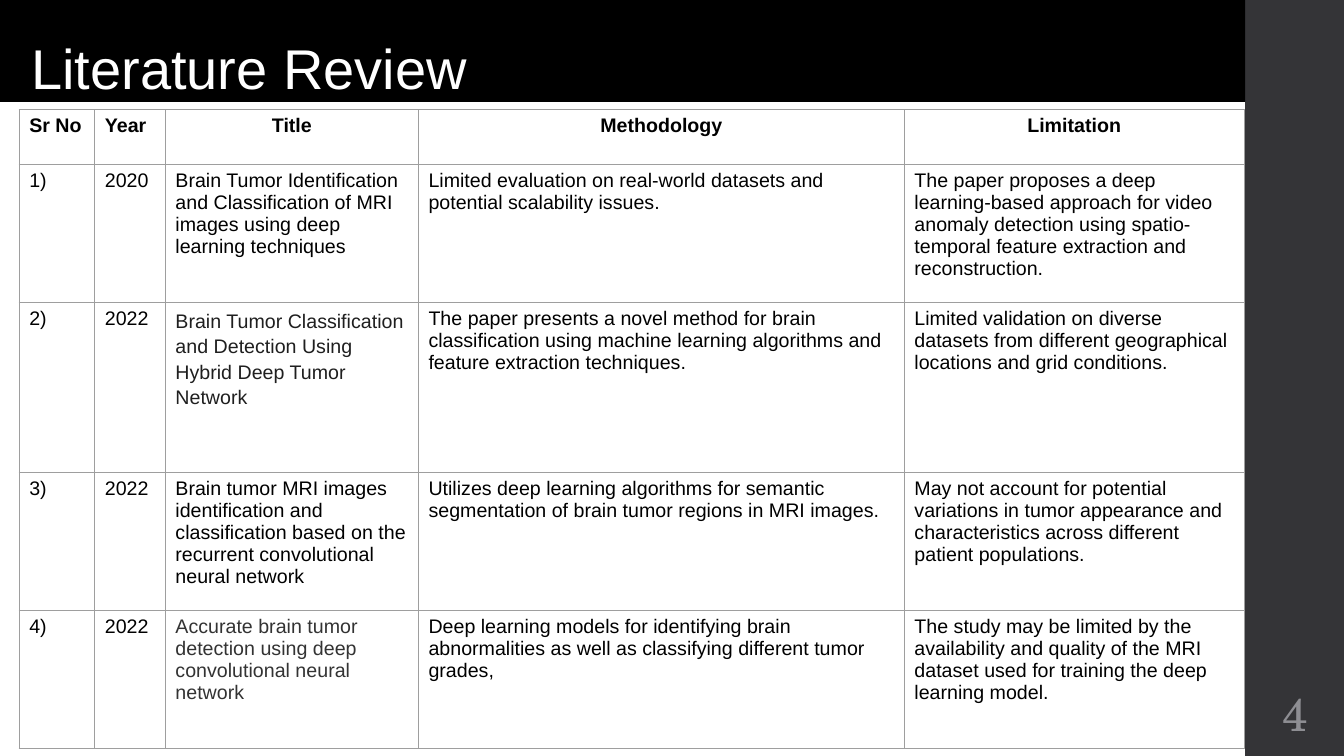
from lxml import etree
from pptx import Presentation
from pptx.dml.color import RGBColor
from pptx.enum.shapes import MSO_SHAPE as Preset
from pptx.enum.text import MSO_ANCHOR as Anchor, PP_ALIGN as Align
from pptx.oxml.ns import qn
from pptx.util import Inches, Pt

BLACK = RGBColor(0x00, 0x00, 0x00)
WHITE = RGBColor(0xFF, 0xFF, 0xFF)
SIDEBAR_GRAY = RGBColor(0x34, 0x34, 0x37)
NUMBER_GRAY = RGBColor(0x8E, 0x8E, 0x93)
BORDER_GRAY = RGBColor(0x9E, 0x9E, 0x9E)
CHARCOAL = RGBColor(0x1F, 0x1F, 0x1F)
DARK_GRAY = RGBColor(0x33, 0x33, 0x33)

SLIDE_WIDTH, SLIDE_HEIGHT = 13.33, 7.5
SIDEBAR_LEFT = 12.35
COLUMN_WIDTHS = [0.75, 0.7, 2.51, 4.82, 3.37]
ROW_HEIGHTS = [0.54, 1.37, 1.69, 1.37, 1.37]

HEADERS = ["Sr No", "Year", "Title", "Methodology", "Limitation"]
PAPERS = [
    ["1)", "2020",
     "Brain Tumor Identification and Classification of MRI images using deep learning techniques",
     "Limited evaluation on real-world datasets and potential scalability issues.",
     "The paper proposes a deep learning-based approach for video anomaly detection using "
     "spatio-temporal feature extraction and reconstruction."],
    ["2)", "2022",
     "Brain Tumor Classification and Detection Using Hybrid Deep Tumor Network",
     "The paper presents a novel method for brain classification using machine learning "
     "algorithms and feature extraction techniques.",
     "Limited validation on diverse datasets from different geographical locations and "
     "grid conditions."],
    ["3)", "2022",
     "Brain tumor MRI images identification and classification based on the recurrent "
     "convolutional neural network",
     "Utilizes deep learning algorithms for semantic segmentation of brain tumor regions "
     "in MRI images.",
     "May not account for potential variations in tumor appearance and characteristics "
     "across different patient populations."],
    ["4)", "2022",
     "Accurate brain tumor detection using deep convolutional neural network",
     "Deep learning models for identifying brain abnormalities as well as classifying "
     "different tumor grades,",
     "The study may be limited by the availability and quality of the MRI dataset used "
     "for training the deep learning model."],
]
TITLE_COLUMN = 2
TITLE_COLORS = {2: CHARCOAL, 4: DARK_GRAY}
LOOSE_ROW = 2


def set_all(target, values):
    for name, value in values.items():
        setattr(target, name, value)


def write(text_frame, text, color, paragraph_format=None, **font_format):
    paragraph = text_frame.paragraphs[0]
    set_all(paragraph, paragraph_format or {})
    run = paragraph.add_run()
    run.text = text
    set_all(run.font, font_format)
    run.font.color.rgb = color


def add_panel(slide, box, color):
    """Add a plain filled rectangle."""
    panel = slide.shapes.add_shape(Preset.RECTANGLE, *map(Inches, box))
    panel.shadow.inherit = False
    panel.fill.solid()
    panel.fill.fore_color.rgb = color
    panel.line.fill.background()
    return panel


def add_title_bar(slide, box):
    text_frame = add_panel(slide, box, BLACK).text_frame
    set_all(text_frame, {
        "word_wrap": True, "vertical_anchor": Anchor.BOTTOM, "margin_left": Inches(0.31),
        "margin_top": 0, "margin_right": 0, "margin_bottom": 0})
    write(text_frame, "Literature Review", WHITE,
          {"alignment": Align.LEFT, "line_spacing": 0.9}, size=Pt(40), name="Arial")


def add_sidebar(slide, box):
    """Add the side panel with the slide number near its foot."""
    left, top, width, height = box
    add_panel(slide, box, SIDEBAR_GRAY)
    number_box = (left, top + height - 0.75, width, 0.65)
    text_frame = slide.shapes.add_textbox(*map(Inches, number_box)).text_frame
    margins = {f"margin_{side}": Inches(0.05) for side in ("left", "top", "right", "bottom")}
    set_all(text_frame, {"word_wrap": True, "vertical_anchor": Anchor.MIDDLE, **margins})
    write(text_frame, "4", NUMBER_GRAY, {"alignment": Align.CENTER},
          size=Pt(32.8), name="TeX Gyre Schola")


def add_borders(cell):
    """Put the four border lines ahead of the cell's fill, as the schema asks."""
    properties = cell._tc.get_or_add_tcPr()
    for position, tag in enumerate(("a:lnL", "a:lnR", "a:lnT", "a:lnB")):
        line = etree.Element(qn(tag), w=str(Pt(0.75)))
        fill = etree.SubElement(line, qn("a:solidFill"))
        etree.SubElement(fill, qn("a:srgbClr"), val=str(BORDER_GRAY))
        properties.insert(position, line)


def add_review_table(slide, box):
    rows = [HEADERS, *PAPERS]
    table = slide.shapes.add_table(len(rows), len(HEADERS), *map(Inches, box)).table
    set_all(table, {"first_row": False, "horz_banding": False})
    for column, width in zip(table.columns, COLUMN_WIDTHS):
        column.width = Inches(width)
    for row, height in zip(table.rows, ROW_HEIGHTS):
        row.height = Inches(height)

    for row_index, texts in enumerate(rows):
        is_header = row_index == 0
        for column_index, text in enumerate(texts):
            cell = table.cell(row_index, column_index)
            cell.fill.background()
            add_borders(cell)
            in_titles = column_index == TITLE_COLUMN
            color = TITLE_COLORS.get(row_index, BLACK) if in_titles else BLACK
            centered = is_header and column_index >= TITLE_COLUMN
            paragraph_format = {"alignment": Align.CENTER if centered else Align.LEFT}
            if in_titles and row_index == LOOSE_ROW:
                paragraph_format.update(line_spacing=1.15, space_after=Pt(12))
            write(cell.text_frame, text, color, paragraph_format,
                  size=Pt(14), name="Arial", bold=is_header)


def build_literature_slide(presentation):
    slide = presentation.slides.add_slide(presentation.slide_layouts[6])
    add_sidebar(slide, (SIDEBAR_LEFT, 0, 1, SLIDE_HEIGHT))
    add_title_bar(slide, (0, 0, SIDEBAR_LEFT, 1.01))
    add_review_table(slide, (0.19, 1.09, sum(COLUMN_WIDTHS), sum(ROW_HEIGHTS)))


def main():
    presentation = Presentation()
    presentation.slide_width = Inches(SLIDE_WIDTH)
    presentation.slide_height = Inches(SLIDE_HEIGHT)
    build_literature_slide(presentation)
    presentation.save("out.pptx")


if __name__ == "__main__":
    main()
